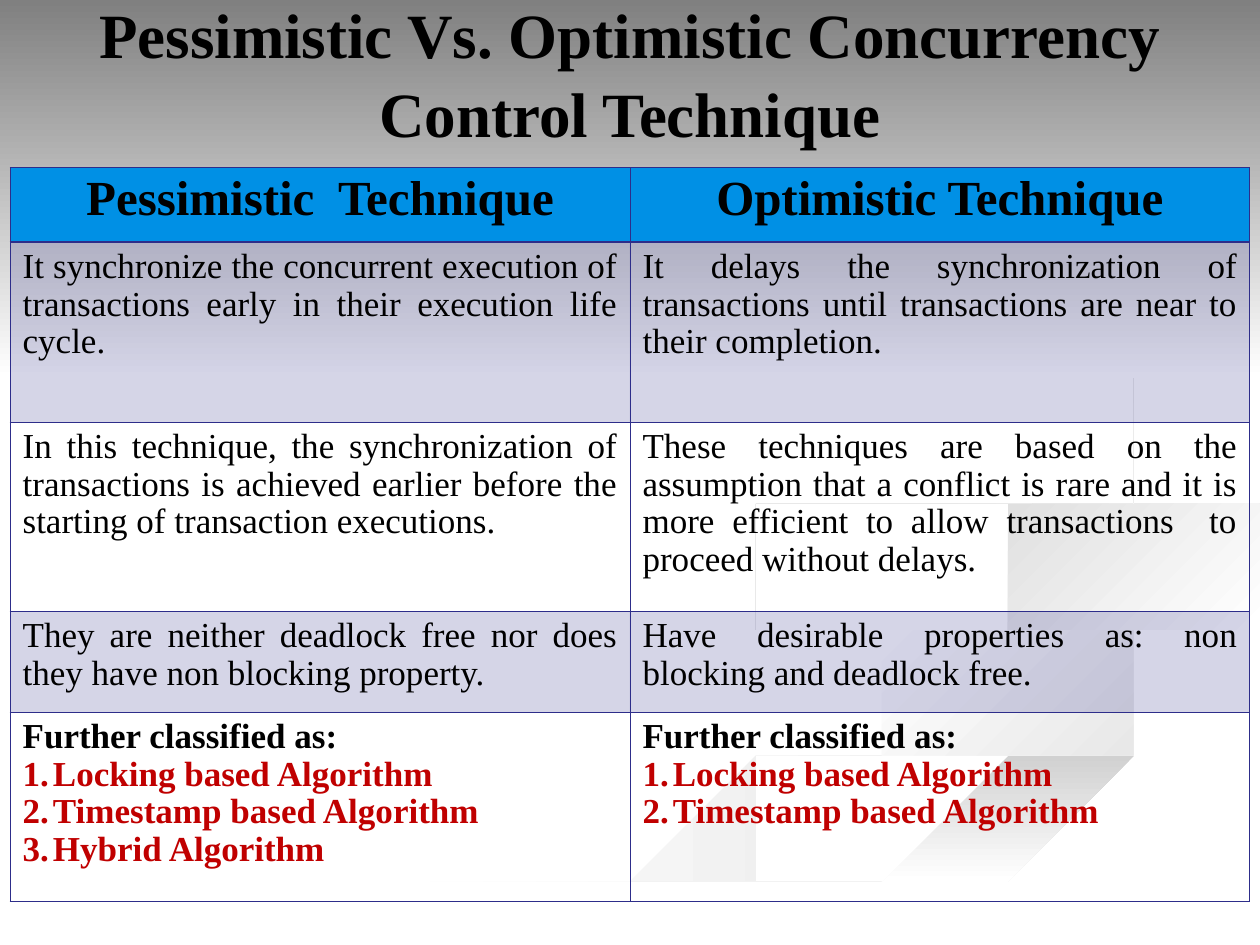
from lxml import etree
from pptx import Presentation
from pptx.dml.color import RGBColor
from pptx.enum.text import MSO_ANCHOR, MSO_AUTO_SIZE, PP_ALIGN
from pptx.oxml.ns import qn
from pptx.util import Inches, Pt

CENTER, JUSTIFY = PP_ALIGN.CENTER, PP_ALIGN.JUSTIFY
FONT = "Times New Roman"
COLORS = {"text": "000000", "header": "0090E5", "band": "2D2D8A",
          "list": "C00000", "sky": "808080", "paper": "FFFFFF",
          "mist": "E8E8E8", "river": "D1D1D1", "eddy": "E0E0E0", "loop": "D8D8D8"}

# Content
TITLE = "Pessimistic Vs. Optimistic Concurrency Control Technique"
HEADERS = ["Pessimistic  Technique", "Optimistic Technique"]
BODY = [
    ("It synchronize the concurrent execution of transactions early in their "
     "execution life cycle.",
     "It delays the synchronization of transactions until transactions are "
     "near to their completion."),
    ("In this technique, the synchronization of transactions is achieved "
     "earlier before the starting of transaction executions.",
     "These techniques are based on the assumption that a conflict is rare and "
     "it is more efficient to allow transactions  to proceed without delays."),
    ("They are neither deadlock free nor does they have non blocking property.",
     "Have desirable properties as: non blocking and deadlock free."),
]
CLASS_LABEL = "Further classified as:"
CLASSES = [
    ["Locking based Algorithm", "Timestamp based Algorithm", "Hybrid Algorithm"],
    ["Locking based Algorithm", "Timestamp based Algorithm"],
]
ROW_HEIGHTS = [0.59, 1.43, 1.5, 0.8, 1.5]

# Guide points of the background curves, in inches
CURVES = {
    "left outer": [(5.75, 4.59), (6.02, 4.9), (6.82, 5.19), (7.81, 5.53), (7.95, 5.92),
                   (7.21, 6.23), (5.64, 6.65), (3.61, 7.49)],
    "left inner": [(3, 7.49), (4.58, 6.74), (6.52, 6.2), (7.67, 5.87), (7.76, 5.53),
                   (6.79, 5.19), (5.86, 4.87), (5.75, 4.59)],
    "crest": [(7.24, 4.64), (7.58, 4.98), (8.5, 5.24), (9.3, 5.53), (9.37, 5.86),
              (8.94, 6.05)],
    "crest inner": [(8.94, 6.05), (9.17, 5.76), (8.68, 5.44), (7.66, 5.12), (7.24, 4.64)],
    "slope": [(8.94, 6.05), (7.04, 6.55), (4.77, 7.49)],
    "river top": [(5.03, 7.49), (6.3, 6.93), (7.97, 6.38), (9.98, 5.81)],
    "river bottom": [(9.98, 6.09), (7.85, 6.61), (6.3, 7.19), (5.71, 7.49)],
    "bank": [(9.98, 5.38), (8.48, 5.03), (7.81, 4.6)],
    "eddy top": [(7.81, 4.6), (8.35, 4.3), (9.98, 4.02)],
    "eddy bottom": [(9.98, 4.2), (8.43, 4.48), (8.05, 4.76), (8.26, 4.96), (7.81, 4.6)],
    "far": [(9.98, 3.87), (8.08, 4.17), (7.24, 4.64)],
    "loop outer": [(6.83, 4.3), (8.25, 4.02), (8.92, 3.54), (8.64, 2.91), (7.62, 2.33)],
    "loop inner": [(7.62, 2.33), (8.55, 2.85), (8.89, 3.35), (8.42, 3.78), (6.49, 4.2),
                   (5.77, 4.62), (6.22, 5)],
    "loop tail": [(6.22, 5), (5.93, 4.7), (6.24, 4.44), (6.83, 4.3)],
}
# Ribbons from back to front: start colour, end colour, clockwise angle, curves
RIBBONS = [
    ("paper", "mist", 0, ["left outer", "left inner"]),
    ("paper", "mist", 45, ["crest", "crest inner"]),
    ("river", "paper", 90, ["river top", "river bottom"]),
    ("paper", "paper", 0, ["crest", "slope", "river top", "bank", "eddy top", "far"]),
    ("eddy", "paper", 45, ["eddy top", "eddy bottom"]),
    ("loop", "paper", 45, ["loop outer", "loop inner", "loop tail"]),
]
STEPS = 6


def rgb(name):
    return RGBColor.from_string(COLORS[name])


def smooth(points):
    """Catmull-Rom curve through the guide points."""
    ends = [points[0], *points, points[-1]]
    curve = []
    for a, b, c, d in zip(ends, ends[1:], ends[2:], ends[3:]):
        for t in (k / STEPS for k in range(STEPS)):
            curve.append(tuple(
                q + t * (r - p + t * (2 * p - 5 * q + 4 * r - u
                                      + t * (3 * q - p - 3 * r + u))) / 2
                for p, q, r, u in zip(a, b, c, d)))
    return curve + [points[-1]]


def add_ribbon(s, start, end, angle, points):
    builder = s.shapes.build_freeform(*points[0], scale=Inches(1))
    builder.add_line_segments(points[1:], close=True)
    sp = builder.convert_to_shape()
    sp.shadow.inherit = False
    sp.line.fill.background()
    sp.fill.gradient()
    sp.fill.gradient_angle = (360 - angle) % 360
    for stop, color in zip(sp.fill.gradient_stops, (start, end)):
        stop.color.rgb = rgb(color)


def style(p, size, color="text", bold=False, align=JUSTIFY, spacing=0.97):
    p.alignment, p.line_spacing = align, spacing
    for r in p.runs:
        r.font.name, r.font.size, r.font.bold = FONT, Pt(size), bold
        r.font.color.rgb = rgb(color)


def number(p):
    pPr = p._p.get_or_add_pPr()
    pPr.set("marL", str(Inches(0.24)))
    pPr.set("indent", str(-Inches(0.24)))
    color = etree.SubElement(pPr, qn("a:buClr"))
    etree.SubElement(color, qn("a:srgbClr"), val=COLORS["list"])
    etree.SubElement(pPr, qn("a:buFont"), typeface=FONT)
    etree.SubElement(pPr, qn("a:buAutoNum"), type="arabicPeriod")


def set_borders(cell, heavy):
    tcPr = cell._tc.get_or_add_tcPr()
    for side in "LRTB":
        width = 0.96 if side == heavy else 0.45
        ln = etree.SubElement(tcPr, qn("a:ln" + side), w=str(Pt(width)))
        fill = etree.SubElement(ln, qn("a:solidFill"))
        etree.SubElement(fill, qn("a:srgbClr"), val=COLORS["band"])


def set_fill(cell, row):
    if row % 2 == 0 and row > 0:
        cell.fill.background()
        return
    cell.fill.solid()
    cell.fill.fore_color.rgb = rgb("band" if row else "header")
    if row:
        color = cell._tc.tcPr.find(qn("a:solidFill")).find(qn("a:srgbClr"))
        etree.SubElement(color, qn("a:alpha"), val="20000")


prs = Presentation()
prs.slide_width, prs.slide_height = Inches(10), Inches(7.5)
s = prs.slides.add_slide(prs.slide_layouts[5])

# Background
for start, end, angle, names in RIBBONS:
    outline = [point for name in names for point in smooth(CURVES[name])]
    add_ribbon(s, start, end, angle, outline)
add_ribbon(s, "sky", "paper", 90, [(0, 0), (0, 3.08), (10, 3.08), (10, 0)])

# Title, brought in front of the background
title = s.shapes.title
title._element.getparent().append(title._element)
title.left, title.top = Inches(0.5), Inches(0.05)
title.width, title.height = Inches(9), Inches(1.03)
tf = title.text_frame
tf.text = TITLE
tf.auto_size, tf.vertical_anchor = MSO_AUTO_SIZE.NONE, MSO_ANCHOR.MIDDLE
style(tf.paragraphs[0], 36, bold=True, align=CENTER, spacing=1.05)

# Comparison table
table = s.shapes.add_table(len(ROW_HEIGHTS), len(HEADERS), Inches(0.08), Inches(1.33),
                           Inches(9.84), Inches(sum(ROW_HEIGHTS))).table
table.first_row = table.horz_banding = False
labels = [CLASS_LABEL] * len(HEADERS)
for i, (height, texts) in enumerate(zip(ROW_HEIGHTS, [HEADERS, *BODY, labels])):
    table.rows[i].height = Inches(height)
    for j, text in enumerate(texts):
        cell = table.cell(i, j)
        set_borders(cell, {0: "B", 1: "T"}.get(i))
        set_fill(cell, i)
        p = cell.text_frame.paragraphs[0]
        p.text = text
        if i == 0:
            style(p, 28, bold=True, align=CENTER)
        else:
            style(p, 20, bold=text == CLASS_LABEL)

# Numbered classes in the last row
for j, names in enumerate(CLASSES):
    for name in names:
        p = table.cell(len(ROW_HEIGHTS) - 1, j).text_frame.add_paragraph()
        p.text = name
        style(p, 20, "list", bold=True)
        number(p)

prs.save("out.pptx")
